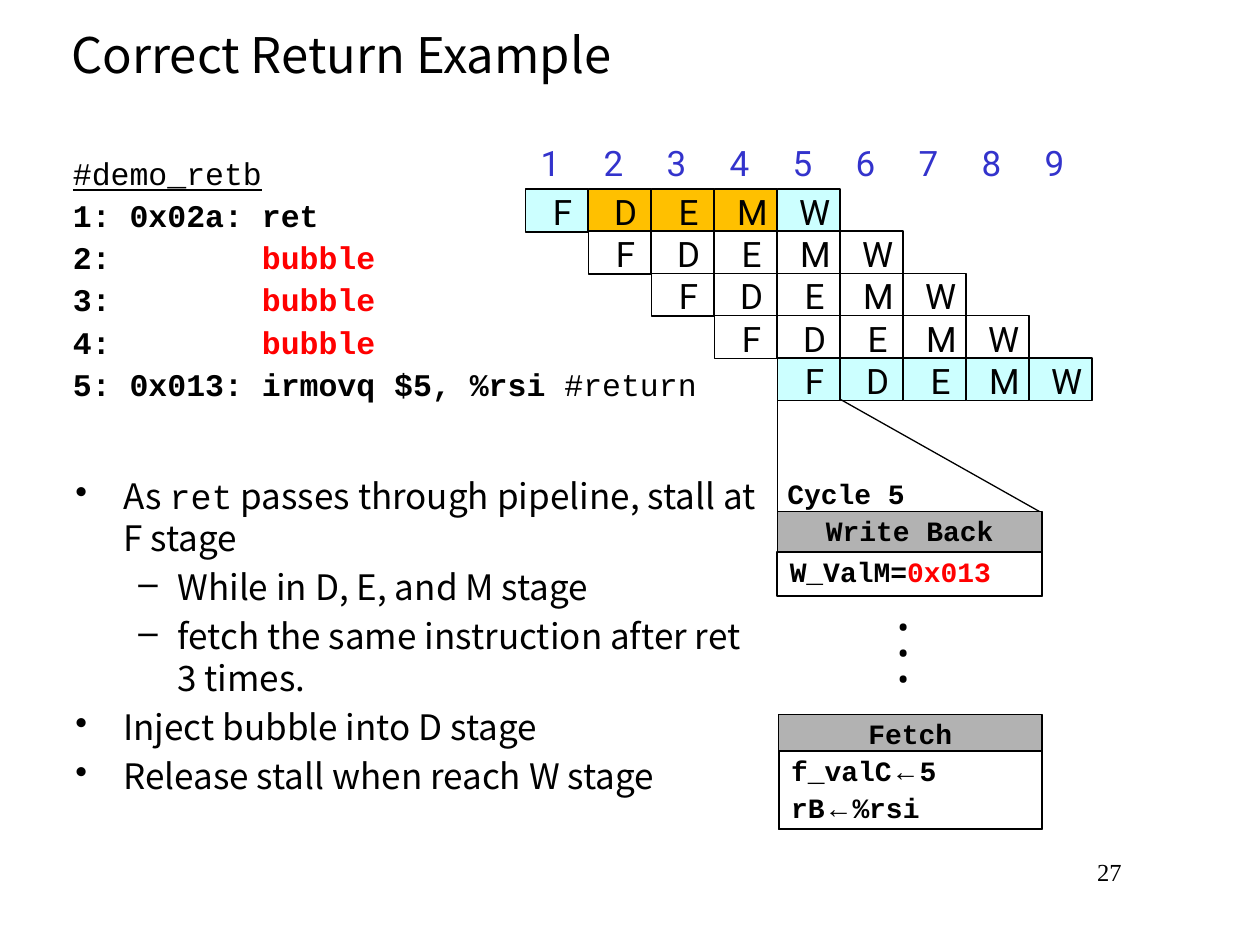
from dataclasses import dataclass

from lxml import etree
from pptx import Presentation
from pptx.dml.color import RGBColor
from pptx.enum.shapes import MSO_CONNECTOR, MSO_SHAPE
from pptx.enum.text import MSO_ANCHOR, PP_ALIGN
from pptx.oxml.ns import qn
from pptx.util import Inches, Pt

RECT, LINE = MSO_SHAPE.RECTANGLE, MSO_CONNECTOR.STRAIGHT
TOP, MID = MSO_ANCHOR.TOP, MSO_ANCHOR.MIDDLE
LEFT, MIDST, RIGHT = PP_ALIGN.LEFT, PP_ALIGN.CENTER, PP_ALIGN.RIGHT

BLACK = RGBColor(0x00, 0x00, 0x00)
WHITE = RGBColor(0xFF, 0xFF, 0xFF)
RED = RGBColor(0xFF, 0x00, 0x00)
BLUE = RGBColor(0x33, 0x33, 0xCC)
CYAN = RGBColor(0xCC, 0xFF, 0xFF)
GOLD = RGBColor(0xFF, 0xC0, 0x00)
GREY = RGBColor(0xB2, 0xB2, 0xB2)

MONO, SANS, CELL = "Courier New", "Noto Sans CJK KR", "Roboto"

# The slide is a grid of 100 columns by 75 rows
COLS, ROWS = 100, 75
# Pipeline chart: first cell, cell size and gap between rows, in grid units
COL0, ROW0 = 41.7, 15
WIDE, HIGH, STEP = 5, 3.4, 3.35
STAGES = {"F": 1.7, "D": 2, "E": 1.9, "M": 2.3, "W": 2.6}  # label widths


@dataclass
class Area:
    col: float
    row: float
    wide: float
    high: float


@dataclass
class Run:
    text: str
    form: dict


@dataclass
class Para:
    runs: list
    form: dict
    mark: str = ""
    hang: tuple = (0, 0)
    tab: float = 0


def unit(num: float) -> int:
    return Inches(num / 10)


def put(item, form: dict) -> None:
    for name, value in form.items():
        setattr(item, name, value)


def font(face: str, size: float, **more) -> dict:
    return {"name": face, "size": Pt(size), "color": BLACK, **more}


def fill(frame, paras: list, base: dict, pad=(1, 0.5), anchor=TOP,
         wrap=True) -> None:
    """Write paragraphs into a text frame."""
    side, edge = map(unit, pad)
    put(frame, {"margin_left": side, "margin_right": side, "margin_top": edge,
                "margin_bottom": edge, "vertical_anchor": anchor,
                "word_wrap": wrap})
    for num, para in enumerate(paras):
        line = frame.add_paragraph() if num else frame.paragraphs[0]
        prop = line._p.get_or_add_pPr()
        if para.mark:
            left, back = para.hang
            prop.set("marL", str(unit(left)))
            prop.set("indent", str(unit(back)))
            etree.SubElement(prop, qn("a:buChar")).set("char", para.mark)
        if para.tab:
            stops = etree.SubElement(prop, qn("a:tabLst"))
            stop = etree.SubElement(stops, qn("a:tab"))
            stop.set("pos", str(unit(para.tab)))
            stop.set("algn", "l")
        form = {"alignment": LEFT, **para.form}
        if not num:
            form.pop("space_before", None)
        put(line, form)
        for part in para.runs:
            run = line.add_run()
            run.text = part.text
            look = {**base, **part.form}
            run.font.color.rgb = look.pop("color")
            put(run.font, look)


def text(area: Area, paras: list, base: dict, **more) -> None:
    box = slide.shapes.add_textbox(*map(unit, (area.col, area.row,
                                               area.wide, area.high)))
    fill(box.text_frame, paras, base, **more)


def block(area: Area, color: RGBColor, edge: float, paras=(),
          base=None) -> None:
    """Draw a filled rectangle, outlined when edge is not zero."""
    box = slide.shapes.add_shape(RECT, *map(unit, (area.col, area.row,
                                                   area.wide, area.high)))
    box.shadow.inherit = False
    box.fill.solid()
    box.fill.fore_color.rgb = color
    if edge:
        box.line.color.rgb = BLACK
        box.line.width = Pt(edge)
    else:
        box.line.fill.background()
    if paras:
        fill(box.text_frame, paras, base)


def label(area: Area, word: str, base: dict, align=MIDST) -> None:
    form = {"alignment": align, "line_spacing": 0.9}
    text(area, [Para([Run(word, {})], form)], base, pad=(0, 0), wrap=False)


def rule(*ends: float) -> None:
    line = slide.shapes.add_connector(LINE, *map(unit, ends))
    line.line.color.rgb = BLACK
    line.line.width = Pt(0.75)
    etree.SubElement(line._element.spPr, qn("a:effectLst"))


def stage(row: int, num: int, name: str, color: RGBColor) -> None:
    """Draw one pipeline cell with its letter."""
    col, top = COL0 + (row + num) * WIDE, ROW0 + row * STEP
    wide = STAGES[name]
    block(Area(col, top, WIDE, HIGH), color, 1)
    label(Area(col + 2.95 - wide / 2, top + 0.5, wide, 3), name,
          font(CELL, 20))


def panel(area: Area, head: str, split: float, lines: list) -> None:
    """Draw a grey heading over a white box of code."""
    base = font(MONO, 16, bold=True)
    form = {"line_spacing": 0.9, "space_before": Pt(4)}
    title = Para([Run(head, {})], {**form, "alignment": MIDST})
    block(area, GREY, 0.88, [title], base)
    body = Area(area.col, area.row + split, area.wide, area.high - split)
    block(body, WHITE, 1.13, [Para(runs, form) for runs in lines], base)


deck = Presentation()
deck.slide_width, deck.slide_height = unit(COLS), unit(ROWS)
slide = deck.slides.add_slide(deck.slide_layouts[6])

# Program listing
bold, hot = {"bold": True}, {"bold": True, "color": RED}
form = {"line_spacing": 0.9, "space_before": Pt(4.8)}
code = [Para([Run("#demo_retb", {"underline": True})], {}),
        Para([Run("1: 0x02a: ret", bold)], form)]
code += [Para([Run(f"{num}:\t", bold), Run("bubble", hot)], form, tab=15)
         for num in (2, 3, 4)]
code.append(Para([Run("5: 0x013: irmovq $5, %rsi ", bold),
                  Run("#return", {})], form))
block(Area(4.8, 11.7, 94.2, 20.8), WHITE, 0, code, font(MONO, 18))

# Title and page number
text(Area(4.7, 0, 95.3, 8.5), [Para([Run("Correct Return Example", {})], {})],
     font(SANS, 28), anchor=MID)
text(Area(75.8, 67.5, 14.2, 5), [Para([Run("27", {})], {"alignment": RIGHT})],
     font("Times New Roman", 14))

# Bullet points
first, second = ("•", (3.8, -3.8)), ("–", (8.1, -3.1))
points = [
    (first, [Run("As ", {}), Run("ret", {"name": MONO}),
             Run(" passes through pipeline, stall at F stage", {})]),
    (second, [Run("While in D, E, and M stage", {})]),
    (second, [Run("fetch the same instruction after ret 3 times.", {})]),
    (first, [Run("Inject bubble into D stage", {})]),
    (first, [Run("Release stall when reach W stage", {})]),
]
block(Area(5, 37.2, 56.7, 30.3), WHITE, 0,
      [Para(runs, {"space_before": Pt(4)}, *level) for level, runs in points],
      font(SANS, 20))

# Pipeline chart under its cycle numbers
for cycle in range(9):
    label(Area(42.9 + cycle * WIDE, 11.6, 1.6, 3), str(cycle + 1),
          font(CELL, 20, color=BLUE), LEFT)
tints = [[CYAN, GOLD, GOLD, GOLD, CYAN], *[[WHITE] * 5] * 3, [CYAN] * 5]
for row, tint in enumerate(tints):
    for num, (name, color) in enumerate(zip(STAGES, tint)):
        stage(row, num, name, color)

# Close-up of cycle 5
rule(61.7, 31.6, 61.7, 40.7)
rule(66.7, 31.7, 82.5, 40.6)
label(Area(62.5, 38.1, 9.4, 2.4), "Cycle 5", font(MONO, 16, bold=True), LEFT)
panel(Area(61.7, 40.6, 21, 6.7), "Write Back", 3.2,
      [[Run("W_ValM=", {}), Run("0x013", {"color": RED})]])
for dot in range(3):
    label(Area(71.2, 48.4 + dot * 2.1, 1, 3), "•", font(CELL, 20))
arrow = Run("←", {"name": "Arial", "bold": False})
panel(Area(61.8, 56.7, 20.9, 9.1), "Fetch", 2.9,
      [[Run("f_valC", {}), arrow, Run("5", {})],
       [Run("rB", {}), arrow, Run("%rsi", {})]])

deck.save("out.pptx")
